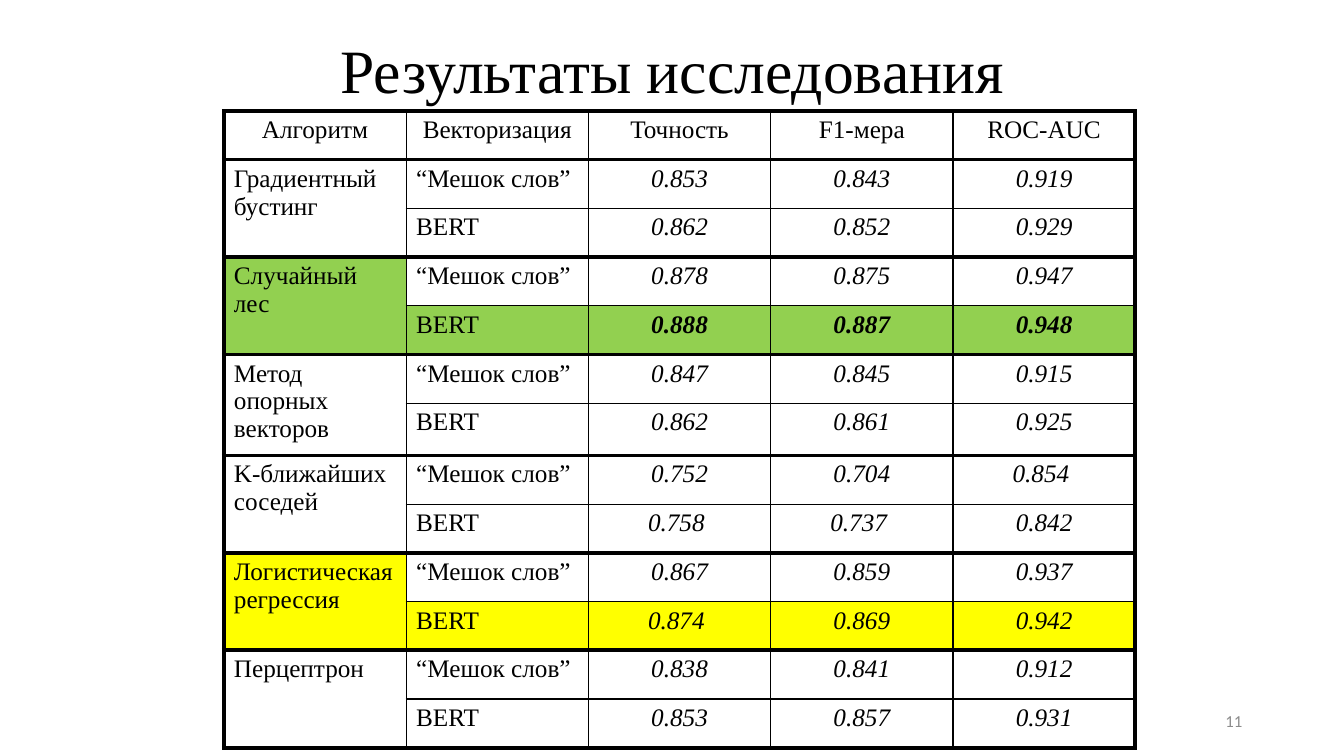
from lxml import etree
from pptx import Presentation
from pptx.dml.color import RGBColor
from pptx.enum.text import MSO_ANCHOR, MSO_AUTO_SIZE, PP_ALIGN
from pptx.oxml.ns import qn
from pptx.util import Emu, Pt

LEFT, CENTER, RIGHT = PP_ALIGN.LEFT, PP_ALIGN.CENTER, PP_ALIGN.RIGHT
MIDDLE = MSO_ANCHOR.MIDDLE
NO_AUTOFIT = MSO_AUTO_SIZE.NONE
TITLE_ONLY = 5
EMU_PER_PX = 9144
SERIF = "Times New Roman"
BLACK, GRAY, GREEN, YELLOW = "000000", "8C8C8C", "92D050", "FFFF00"
THIN, THICK = 1, 3

HEADINGS = ["Алгоритм", "Векторизация", "Точность", "F1-мера", "ROC-AUC"]
VECTORIZERS = ["“Мешок слов”", "BERT"]
RESULTS = [
    ("Градиентный бустинг", None,
     [["0.853", "0.843", "0.919"], ["0.862", "0.852", "0.929"]]),
    ("Случайный лес", GREEN,
     [["0.878", "0.875", "0.947"], ["0.888", "0.887", "0.948"]]),
    ("Метод опорных векторов", None,
     [["0.847", "0.845", "0.915"], ["0.862", "0.861", "0.925"]]),
    ("K-ближайших соседей", None,
     [["0.752", "0.704", "0.854 "], ["0.758 ", "0.737 ", "0.842"]]),
    ("Логистическая регрессия", YELLOW,
     [["0.867", "0.859", "0.937"], ["0.874 ", "0.869", "0.942"]]),
    ("Перцептрон", None,
     [["0.838", "0.841", "0.912"], ["0.853", "0.857", "0.931"]]),
]


def px(length):
    """Turn a length in px into EMU."""
    return Emu(length * EMU_PER_PX)


def color(code):
    """Turn a hex string into a colour."""
    return RGBColor.from_string(code)


def write(frame, text, align, ink=BLACK, **formats):
    """Write one formatted paragraph into a text frame."""
    para = frame.paragraphs[0]
    para.alignment = align
    span = para.add_run()
    span.text = text
    values = {"name": SERIF, "size": Pt(18), "bold": False, "italic": False}
    for name, value in (values | formats).items():
        setattr(span.font, name, value)
    span.font.color.rgb = color(ink)
    return para


def place_title(page, box):
    """Move the title placeholder into the box and fill it."""
    title = page.shapes.title
    for name, length in zip(("left", "top", "width", "height"), box):
        setattr(title, name, px(length))
    frame = title.text_frame
    frame.auto_size = NO_AUTOFIT
    frame.vertical_anchor = MIDDLE
    para = write(frame, "Результаты исследования", CENTER, size=Pt(44))
    para.line_spacing = 0.9


def place_page_number(page, box):
    """Put the page number at the right of the box."""
    frame = page.shapes.add_textbox(*map(px, box)).text_frame
    frame.word_wrap = True
    frame.vertical_anchor = MIDDLE
    write(frame, "11", RIGHT, GRAY, name="Calibri", size=Pt(12))


def set_borders(cell, row, column):
    """Draw thick lines round the table and each algorithm, thin ones inside."""
    widths = {
        "a:lnL": THICK if column == 0 else THIN,
        "a:lnR": THICK if column == len(HEADINGS) - 1 else THIN,
        "a:lnT": THICK if row == 0 or row % 2 or column == 0 else THIN,
        "a:lnB": THICK if row % 2 == 0 or column == 0 else THIN,
    }
    properties = cell._tc.get_or_add_tcPr()
    for tag, width in widths.items():
        line = etree.SubElement(properties, qn(tag), w=str(Pt(width)))
        fill = etree.SubElement(line, qn("a:solidFill"))
        etree.SubElement(fill, qn("a:srgbClr"), val=BLACK)


def fill_cell(table, row, column, text, align, shade=None, **formats):
    """Set the borders, fill and text of one cell."""
    cell = table.cell(row, column)
    set_borders(cell, row, column)
    if shade:
        cell.fill.solid()
        cell.fill.fore_color.rgb = color(shade)
    else:
        cell.fill.background()
    if text:
        write(cell.text_frame, text, align, **formats)


def place_results(page, box):
    """Build the table of results, two rows to an algorithm, in the box."""
    row_count = 1 + len(RESULTS) * len(VECTORIZERS)
    table = page.shapes.add_table(row_count, len(HEADINGS), *map(px, box)).table
    table.first_row = table.horz_banding = False
    for column, heading in enumerate(HEADINGS):
        fill_cell(table, 0, column, heading, CENTER)
    for group, (algorithm, shade, scores) in enumerate(RESULTS):
        first = 1 + group * len(VECTORIZERS)
        for offset, vectorizer in enumerate(VECTORIZERS):
            row = first + offset
            row_shade = shade if offset else None
            fill_cell(table, row, 0, "" if offset else algorithm, LEFT, shade)
            fill_cell(table, row, 1, vectorizer, LEFT, row_shade)
            for column, score in enumerate(scores[offset], 2):
                fill_cell(table, row, column, score, CENTER, row_shade,
                          italic=True, bold=row_shade == GREEN)
        table.cell(first, 0).merge(table.cell(first + 1, 0))


def main():
    """Build and save the deck."""
    deck = Presentation()
    deck.slide_width, deck.slide_height = px(1333), px(750)
    page = deck.slides.add_slide(deck.slide_layouts[TITLE_ONLY])
    place_title(page, (92, 0, 1150, 145))
    place_page_number(page, (942, 695, 300, 40))
    place_results(page, (222, 110, 904, 629))
    deck.save("out.pptx")


if __name__ == "__main__":
    main()
